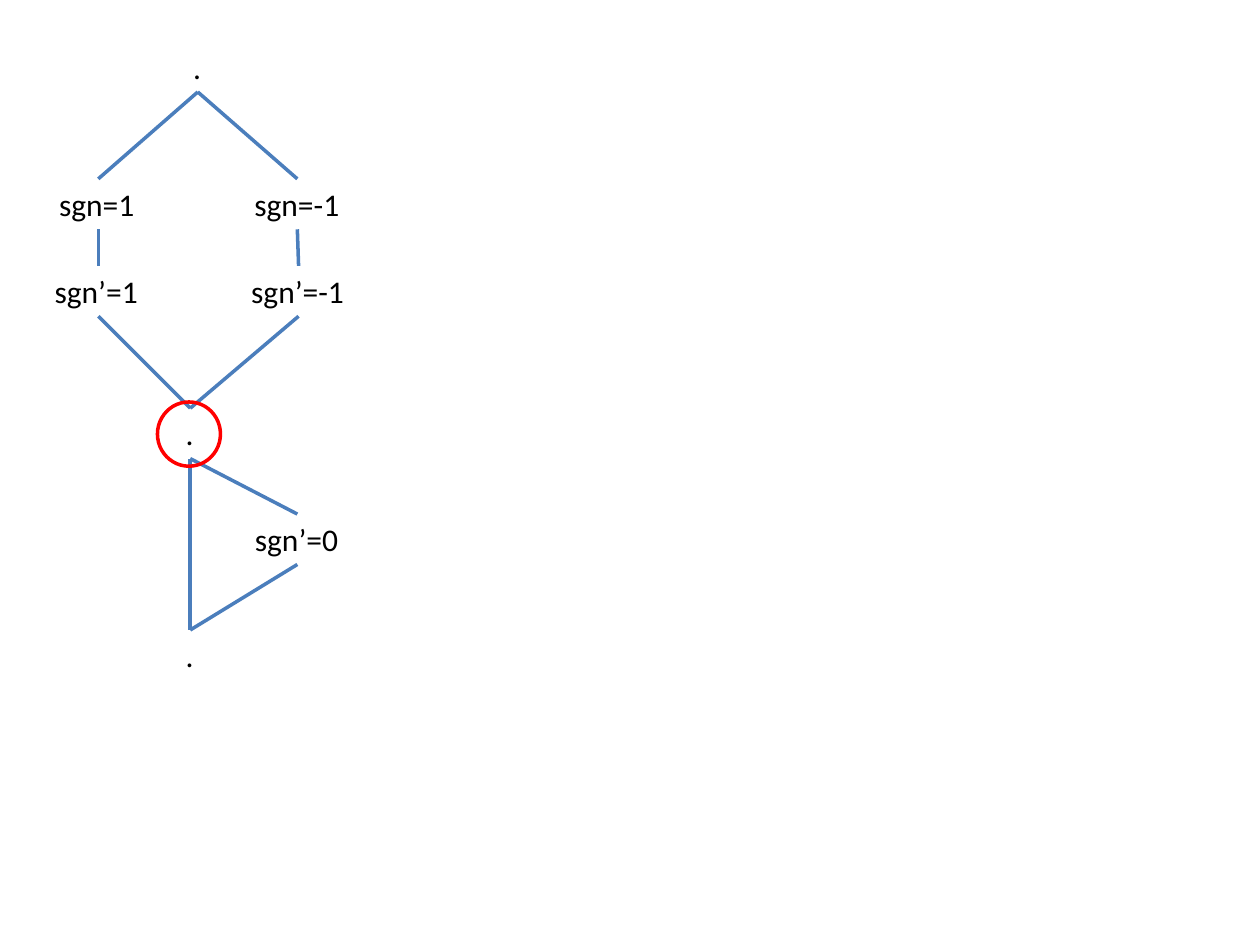
from dataclasses import dataclass

from lxml import etree
from pptx import Presentation
from pptx.dml.color import RGBColor
from pptx.enum.shapes import MSO_CONNECTOR as Connector, MSO_SHAPE as Shape
from pptx.enum.text import MSO_AUTO_SIZE as AutoSize
from pptx.oxml.ns import qn
from pptx.util import Inches, Pt


@dataclass(frozen=True)
class Theme:
    font: str = "Calibri"
    text_size: Pt = Pt(18)
    line_width: Pt = Pt(2)
    text: RGBColor = RGBColor(0x00, 0x00, 0x00)
    edge: RGBColor = RGBColor(0x4B, 0x7E, 0xBC)
    highlight: RGBColor = RGBColor(0xFF, 0x00, 0x00)


theme = Theme()
deck = Presentation()
deck.slide_width, deck.slide_height = Inches(10), Inches(7.5)
page = deck.slides.add_slide(deck.slide_layouts[6])

# Nodes: text, centre x, top, width
NODE_HEIGHT = 0.4
TOP, BOTTOM = 0, 2  # connection sites
nodes = {
    "start": (".", 1.57, 0.33, 0.27),
    "positive": ("sgn=1", 0.78, 1.42, 0.82),
    "negative": ("sgn=-1", 2.36, 1.42, 0.88),
    "next positive": ("sgn’=1", 0.78, 2.11, 0.89),
    "next negative": ("sgn’=-1", 2.37, 2.11, 0.95),
    "merge": (".", 1.51, 3.24, 0.27),
    "next zero": ("sgn’=0", 2.36, 4.08, 0.87),
    "end": (".", 1.51, 5, 0.27),
}
boxes = {}
for name, (text, center, top, width) in nodes.items():
    box = page.shapes.add_textbox(
        Inches(center - width / 2), Inches(top), Inches(width), Inches(NODE_HEIGHT)
    )
    frame = box.text_frame
    frame.text = text
    frame.word_wrap = False
    frame.auto_size = AutoSize.SHAPE_TO_FIT_TEXT
    font = frame.paragraphs[0].runs[0].font
    font.name, font.size = theme.font, theme.text_size
    font.color.rgb = theme.text
    boxes[name] = box

# Edges: from the bottom of one node to the top of the next
edges = [
    ("start", "positive"),
    ("start", "negative"),
    ("positive", "next positive"),
    ("negative", "next negative"),
    ("next positive", "merge"),
    ("next negative", "merge"),
    ("merge", "next zero"),
    ("merge", "end"),
    ("next zero", "end"),
]
for upper, lower in edges:
    edge = page.shapes.add_connector(Connector.STRAIGHT, 0, 0, 0, 0)
    edge.begin_connect(boxes[upper], BOTTOM)
    edge.end_connect(boxes[lower], TOP)
    edge.line.color.rgb = theme.edge
    edge.line.width = theme.line_width
    etree.SubElement(edge._element.spPr, qn("a:effectLst"))

# Ring around the merge node
ring = page.shapes.add_shape(
    Shape.OVAL, Inches(1.25), Inches(3.19), Inches(0.5), Inches(0.51)
)
ring.shadow.inherit = False
ring.fill.background()
ring.line.color.rgb = theme.highlight
ring.line.width = theme.line_width

deck.save("out.pptx")
